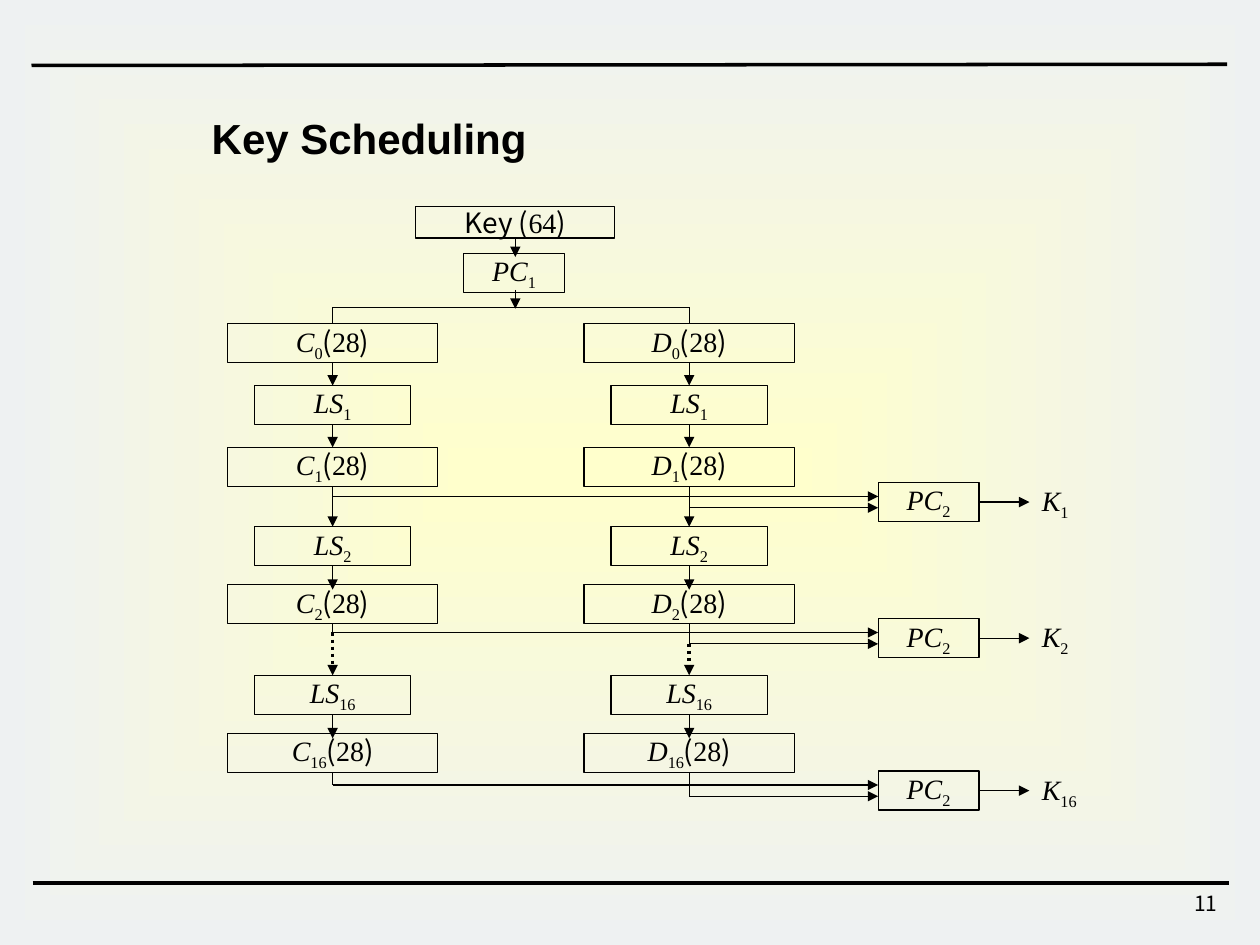
from lxml.etree import SubElement
from pptx import Presentation
from pptx.dml.color import RGBColor
from pptx.enum.dml import MSO_LINE
from pptx.enum.shapes import MSO_CONNECTOR, MSO_SHAPE
from pptx.enum.text import MSO_ANCHOR, MSO_AUTO_SIZE, PP_ALIGN
from pptx.oxml import parse_xml
from pptx.oxml.ns import nsdecls, qn
from pptx.util import Inches, Pt

COLORS = {"ink": "000000", "center": "FFFFCC", "edge": "EEF1F2"}
SERIF, SANS, TITLE_FONT = "Times New Roman", "Noto Sans CJK KR", "Arial"

TITLE = "Key Scheduling"
PAGE_NUMBER = "11"
HALVES = [("C", 2.64), ("D", 5.47)]  # register name, center of its column
START_TOP = 2.57
ROUNDS = [  # tops of the boxes, and where the arrow into the register ends
    {"number": "1", "shift": 3.06, "register": 3.55, "tip": 3.55, "choice": 3.83},
    {"number": "2", "shift": 4.18, "register": 4.64, "tip": 4.68, "choice": 4.91},
    {"number": "16", "shift": 5.36, "register": 5.82, "tip": 5.86, "choice": 6.12},
]
RULES = [(0.25, 0.52, 9.74, 0.51), (0.26, 7.01, 9.75, 7.01)]
BOX_HEIGHT = 0.31
REGISTER_WIDTH, SHIFT_WIDTH, CHOICE_WIDTH = 1.67, 1.24, 0.8
KEY_CENTER, SPLIT_Y = 4.09, 2.44
CHOICE_LEFT, SUBKEY_LEFT = 6.97, 8.17
TAP_OFFSETS = (0.11, 0.2)  # arrows from C and D, below the top of PC2


def color(name):
    return RGBColor.from_string(COLORS[name])


def add_run(paragraph, text, font=SERIF, size=16, italic=False, bold=False, subscript=False):
    run = paragraph.add_run()
    run.text = text
    run.font.name, run.font.size = font, Pt(size)
    run.font.italic, run.font.bold = italic, bold
    run.font.color.rgb = color("ink")
    if subscript:
        run.font._element.set("baseline", "-25000")


def write_symbol(paragraph, name, index, bits=None):
    """Write an italic name with a subscript, then its bit length in brackets."""
    add_run(paragraph, name, italic=True)
    add_run(paragraph, index, subscript=True)
    if bits:
        write_bits(paragraph, "(", bits)


def write_bits(paragraph, opening, bits):
    add_run(paragraph, opening, SANS)
    add_run(paragraph, bits)
    add_run(paragraph, ")", SANS)


def add_box(slide, left, top, width, height=BOX_HEIGHT):
    """Draw an outlined box and return its paragraph."""
    box = slide.shapes.add_shape(
        MSO_SHAPE.RECTANGLE, Inches(left), Inches(top), Inches(width), Inches(height))
    box.shadow.inherit = False
    box.fill.background()
    box.line.color.rgb = color("ink")
    box.line.width = Pt(0.75)
    box.text_frame.word_wrap = False
    box.text_frame.vertical_anchor = MSO_ANCHOR.MIDDLE
    paragraph = box.text_frame.paragraphs[0]
    paragraph.alignment = PP_ALIGN.CENTER
    return paragraph


def add_text(slide, left, top, width, height):
    text_box = slide.shapes.add_textbox(
        Inches(left), Inches(top), Inches(width), Inches(height))
    text_box.text_frame.word_wrap = True
    return text_box.text_frame.paragraphs[0]


def add_line(slide, x1, y1, x2, y2, width=0.75, arrow=False, dotted=False):
    line = slide.shapes.add_connector(
        MSO_CONNECTOR.STRAIGHT, Inches(x1), Inches(y1), Inches(x2), Inches(y2))
    line.line.color.rgb = color("ink")
    line.line.width = Pt(width)
    if dotted:
        line.line.dash_style = MSO_LINE.ROUND_DOT
    if arrow:
        SubElement(line.line._get_or_add_ln(), qn("a:tailEnd"), type="triangle")
    SubElement(line.element.spPr, qn("a:effectLst"))


def add_backdrop(slide, width, height):
    backdrop = slide.shapes.add_shape(MSO_SHAPE.RECTANGLE, 0, 0, width, height)
    backdrop.shadow.inherit = False
    backdrop.line.fill.background()
    gradient = parse_xml(
        f'<a:gradFill {nsdecls("a")} rotWithShape="1"><a:gsLst>'
        f'<a:gs pos="0"><a:srgbClr val="{COLORS["center"]}"/></a:gs>'
        f'<a:gs pos="100000"><a:srgbClr val="{COLORS["edge"]}"/></a:gs></a:gsLst>'
        '<a:path path="shape"><a:fillToRect l="50000" t="50000" r="50000" b="50000"/>'
        '</a:path></a:gradFill>')
    backdrop.element.spPr.find(qn("a:prstGeom")).addnext(gradient)
    slide.shapes.title.element.addprevious(backdrop.element)


def add_title(slide):
    title = slide.shapes.title
    title.left, title.top = Inches(1.58), Inches(0.84)
    title.width, title.height = Inches(2.7), Inches(0.5)
    frame = title.text_frame
    frame.margin_right = 0
    frame.word_wrap = False
    frame.auto_size = MSO_AUTO_SIZE.NONE
    frame.vertical_anchor = MSO_ANCHOR.TOP
    frame.paragraphs[0].alignment = PP_ALIGN.LEFT
    add_run(frame.paragraphs[0], TITLE, TITLE_FONT, 24, bold=True)


def add_key_input(slide):
    write_bits(add_box(slide, 3.3, 1.64, 1.58, 0.25), "Key (", "64")
    write_symbol(add_box(slide, 3.68, 2.01, CHOICE_WIDTH), "PC", "1")
    for start, end in [(1.89, 2.04), (2.3, 2.45)]:
        add_line(slide, KEY_CENTER, start, KEY_CENTER, end, arrow=True)
    add_line(slide, HALVES[0][1], SPLIT_Y, HALVES[1][1], SPLIT_Y)


def add_register(slide, name, number, center, top):
    paragraph = add_box(slide, center - REGISTER_WIDTH / 2, top, REGISTER_WIDTH)
    write_symbol(paragraph, name, number, "28")


def add_half(slide, name, center, tap_offset):
    """Draw one column of registers and shifts with its arrows into PC2."""
    add_line(slide, center, SPLIT_Y, center, START_TOP)
    add_register(slide, name, "0", center, START_TOP)
    bottom = START_TOP + BOX_HEIGHT
    tap = None
    for step in ROUNDS:
        shift, register = step["shift"], step["register"]
        if step["number"] == "16":
            add_line(slide, center, bottom, center, tap)
            add_line(slide, center, tap, center, shift, 2, arrow=True, dotted=True)
        else:
            add_line(slide, center, bottom, center, shift, arrow=True)
        write_symbol(
            add_box(slide, center - SHIFT_WIDTH / 2, shift, SHIFT_WIDTH), "LS", step["number"])
        add_line(slide, center, shift + BOX_HEIGHT, center, step["tip"], arrow=True)
        add_register(slide, name, step["number"], center, register)
        bottom = register + BOX_HEIGHT
        tap = step["choice"] + tap_offset
        add_line(slide, center, tap, CHOICE_LEFT, tap, arrow=True)
    add_line(slide, center, bottom, center, tap)


def add_subkey(slide, number, top):
    write_symbol(add_box(slide, CHOICE_LEFT, top, CHOICE_WIDTH), "PC", "2")
    middle = top + BOX_HEIGHT / 2
    add_line(slide, CHOICE_LEFT + CHOICE_WIDTH, middle, SUBKEY_LEFT, middle, arrow=True)
    write_symbol(add_text(slide, SUBKEY_LEFT, top - 0.04, 0.58, 0.37), "K", number)


def main():
    presentation = Presentation()
    presentation.slide_width, presentation.slide_height = Inches(10), Inches(7.5)
    slide = presentation.slides.add_slide(presentation.slide_layouts[5])
    add_backdrop(slide, presentation.slide_width, presentation.slide_height)
    for rule in RULES:
        add_line(slide, *rule, width=2)
    page_number = add_text(slide, 7.68, 7.02, 2.08, 0.33)
    page_number.alignment = PP_ALIGN.RIGHT
    add_run(page_number, PAGE_NUMBER, SANS, 12)
    add_title(slide)
    add_key_input(slide)
    for (name, center), tap_offset in zip(HALVES, TAP_OFFSETS):
        add_half(slide, name, center, tap_offset)
    for step in ROUNDS:
        add_subkey(slide, step["number"], step["choice"])
    presentation.save("out.pptx")


if __name__ == "__main__":
    main()
